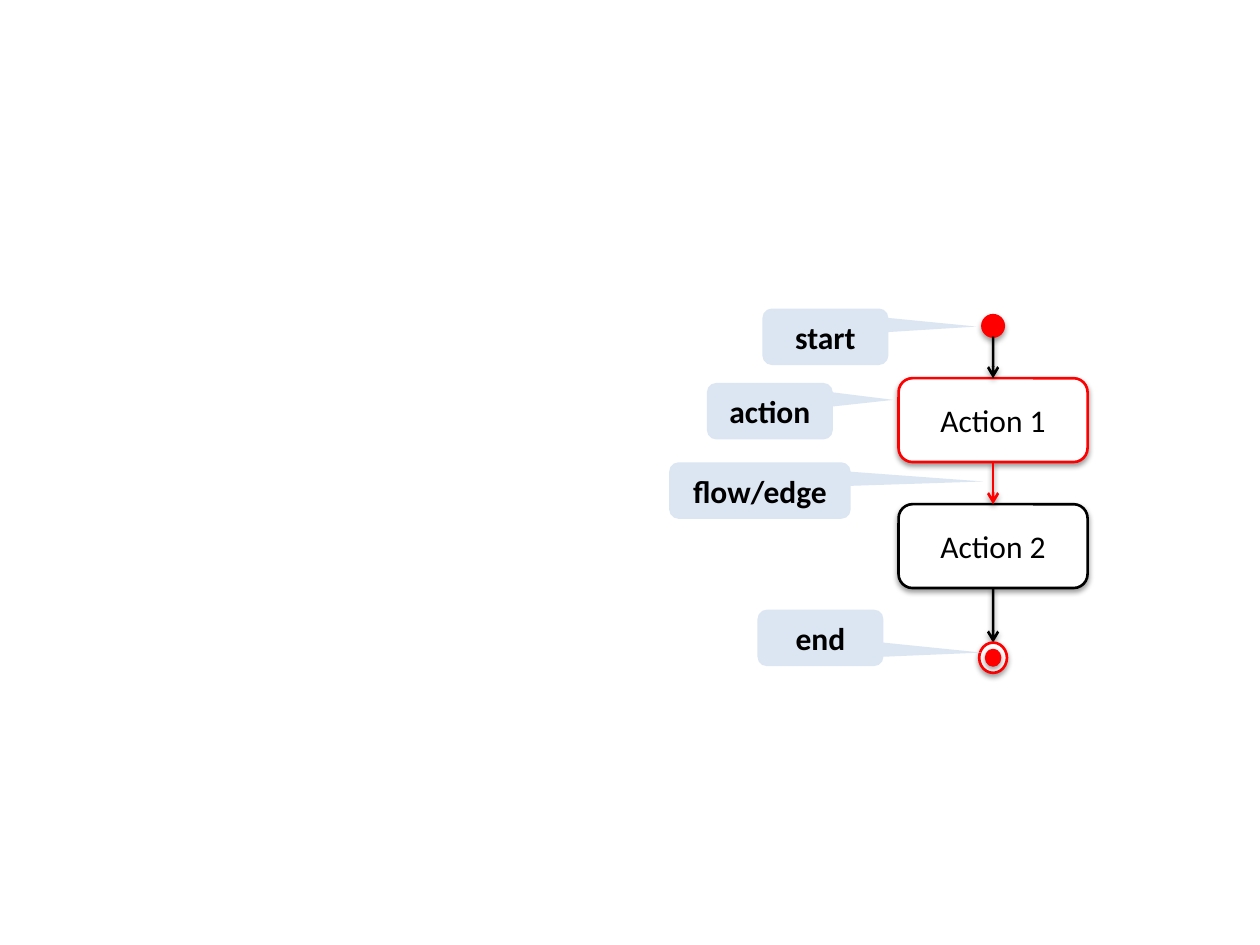
from lxml import etree
from pptx import Presentation
from pptx.dml.color import RGBColor
from pptx.enum.shapes import MSO_CONNECTOR, MSO_SHAPE
from pptx.enum.text import MSO_ANCHOR, PP_ALIGN
from pptx.oxml.ns import qn
from pptx.util import Cm, Pt

ROUND, OVAL = MSO_SHAPE.ROUNDED_RECTANGLE, MSO_SHAPE.OVAL
BUBBLE, LINE = MSO_SHAPE.ROUNDED_RECTANGULAR_CALLOUT, MSO_CONNECTOR.STRAIGHT
MIDDLE, CENTER = MSO_ANCHOR.MIDDLE, PP_ALIGN.CENTER

COLORS = {"red": "FF0000", "black": "000000", "white": "FFFFFF", "pale": "DCE6F2"}
FONT, SIZE = "Calibri", 18
AXIS = 20.02  # centre of the flow, in cm

# text, centre y, outline
ACTIONS = [("Action 1", 8.47, "red"), ("Action 2", 11.01, "black")]
ACTION_W, ACTION_H = 3.81, 1.69
START_Y, START_D = 6.57, 0.43
END_Y = 13.26
# width, height, fill
END_RINGS = [(0.56, 0.61, "white"), (0.28, 0.31, "red")]
# text, left, top, width, pointer x and y as shares of the size
LABELS = [
    ("start", 15.37, 6.22, 2.54, 1.2, -0.18),
    ("end", 15.27, 12.29, 2.54, 1.28, 0.26),
    ("flow/edge", 13.49, 9.32, 3.66, 1.23, -0.16),
    ("action", 14.25, 7.72, 2.54, 0.98, -0.2),
]
LABEL_H = 1.14


def color(name):
    return RGBColor.from_string(COLORS[name])


def add_shadow(shape):
    """Give a finished shape or connector a soft shadow below it."""
    props = shape._element.spPr
    effects = props.find(qn("a:effectLst"))
    if effects is None:
        effects = etree.SubElement(props, qn("a:effectLst"))
    outer = etree.SubElement(effects, qn("a:outerShdw"), blurRad="40000",
                             dist="20000", dir="5400000", rotWithShape="0")
    tint = etree.SubElement(outer, qn("a:srgbClr"), val=COLORS["black"])
    etree.SubElement(tint, qn("a:alpha"), val="38000")


def add_box(shapes, kind, left, top, width, height, fill):
    box = shapes.add_shape(kind, Cm(left), Cm(top), Cm(width), Cm(height))
    box.shadow.inherit = False
    box.fill.solid()
    box.fill.fore_color.rgb = color(fill)
    box.line.fill.background()
    return box


def add_node(shapes, kind, y, width, height, fill, edge):
    """Add an outlined shape centred on the axis at height y."""
    node = add_box(shapes, kind, AXIS - width / 2, y - height / 2, width, height, fill)
    node.line.color.rgb = color(edge)
    node.line.width = Pt(1.5)
    add_shadow(node)
    return node


def add_text(box, text, bold=False):
    frame = box.text_frame
    frame.word_wrap = True
    frame.vertical_anchor = MIDDLE
    para = frame.paragraphs[0]
    para.alignment = CENTER
    run = para.add_run()
    run.text = text
    run.font.name, run.font.size, run.font.bold = FONT, Pt(SIZE), bold
    run.font.color.rgb = color("black")


def add_arrow(shapes, top, bottom, shade):
    arrow = shapes.add_connector(LINE, Cm(AXIS), Cm(top), Cm(AXIS), Cm(bottom))
    arrow.line.color.rgb = color(shade)
    arrow.line.width = Pt(1.5)
    etree.SubElement(arrow.line._get_or_add_ln(), qn("a:tailEnd"), type="arrow")
    add_shadow(arrow)
    return arrow


def main():
    deck = Presentation()
    deck.slide_width, deck.slide_height = Cm(25.4), Cm(19.05)
    shapes = deck.slides.add_slide(deck.slide_layouts[6]).shapes

    boxes = []
    for text, y, edge in ACTIONS:
        box = add_node(shapes, ROUND, y, ACTION_W, ACTION_H, "white", edge)
        add_text(box, text)
        boxes.append(box)
    add_node(shapes, OVAL, START_Y, START_D, START_D, "red", "red")

    # Each arrow runs from the foot of one step to the head of the next.
    half = ACTION_H / 2
    heads = [y - half for _, y, _ in ACTIONS] + [END_Y - END_RINGS[0][1] / 2]
    feet = [START_Y + START_D / 2] + [y + half for _, y, _ in ACTIONS]
    shades = ["black", "red", "black"]
    for i, (foot, head, shade) in enumerate(zip(feet, heads, shades)):
        arrow = add_arrow(shapes, foot, head, shade)
        if i > 0:
            arrow.begin_connect(boxes[i - 1], 2)
        if i < len(boxes):
            arrow.end_connect(boxes[i], 0)

    final = shapes.add_group_shape()
    for width, height, fill in END_RINGS:
        add_node(final.shapes, OVAL, END_Y, width, height, fill, "red")

    for text, left, top, width, x, y in LABELS:
        label = add_box(shapes, BUBBLE, left, top, width, LABEL_H, "pale")
        label.adjustments[0], label.adjustments[1] = x, y
        add_text(label, text, bold=True)

    deck.save("out.pptx")


if __name__ == "__main__":
    main()
